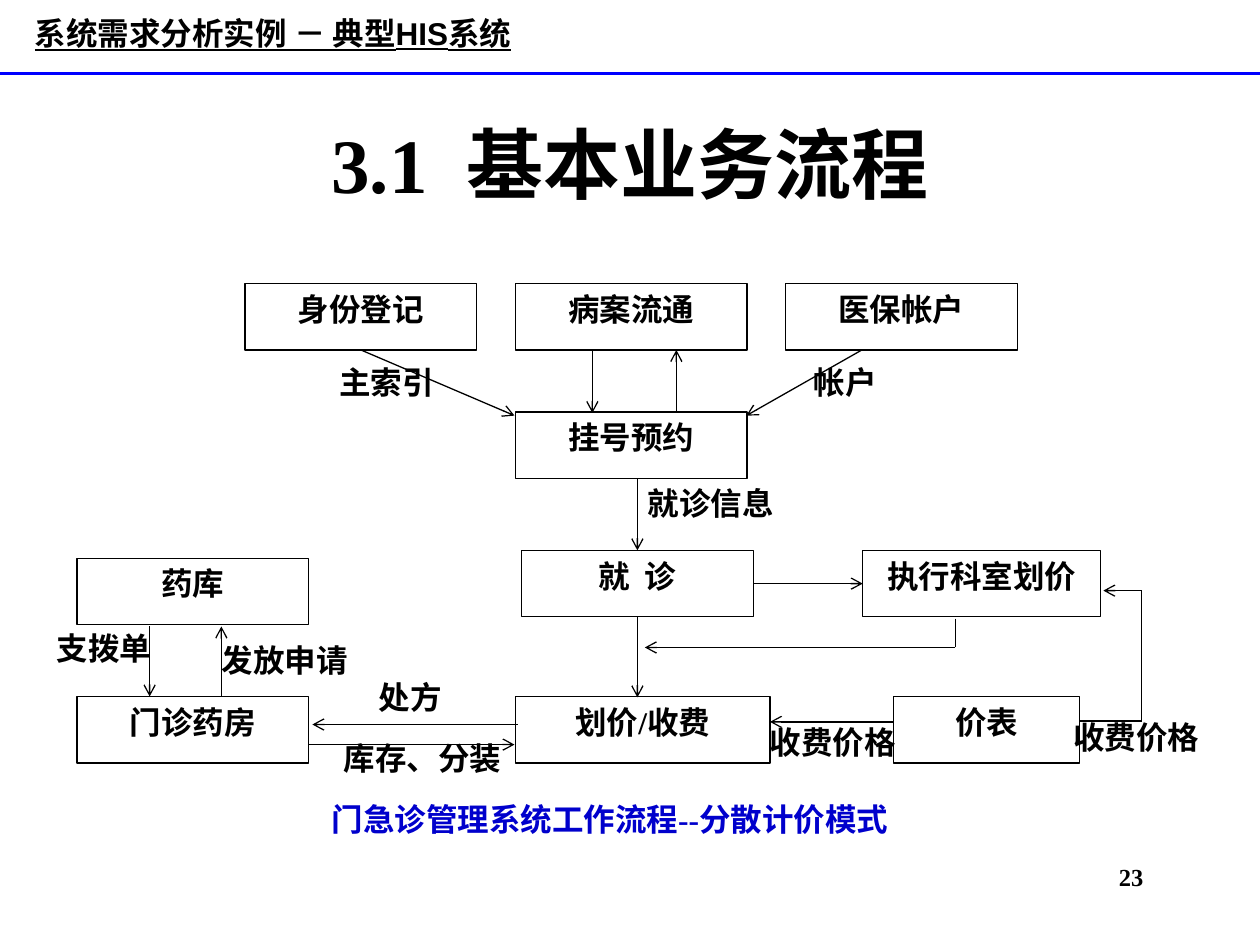
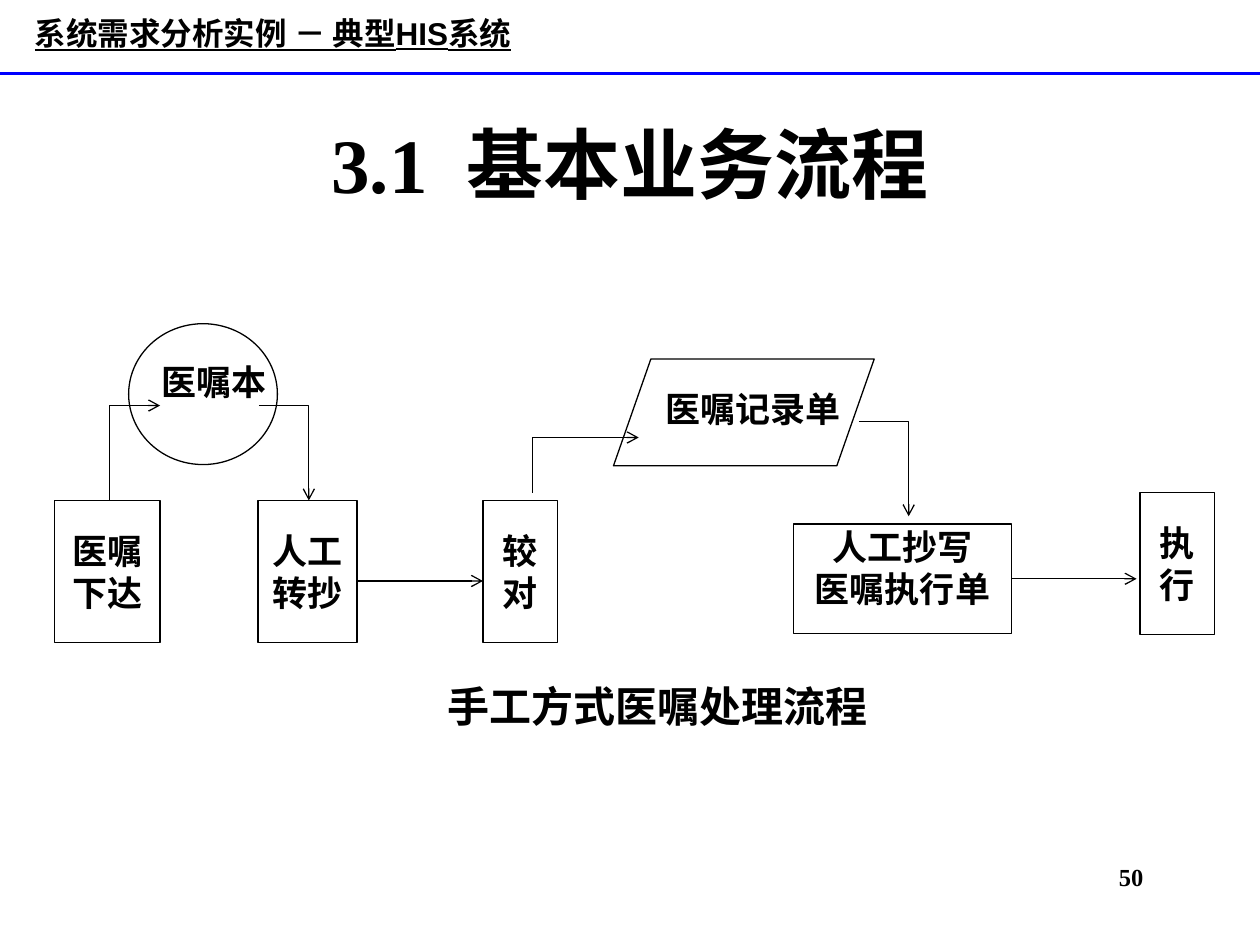
import lxml.etree
import pptx
import pptx.dml.color
import pptx.enum.shapes
import pptx.enum.text
import pptx.oxml.ns
import pptx.util

Pt = pptx.util.Pt
qn = pptx.oxml.ns.qn
SHAPE = pptx.enum.shapes.MSO_SHAPE
STRAIGHT = pptx.enum.shapes.MSO_CONNECTOR.STRAIGHT
ANCHOR = pptx.enum.text.MSO_ANCHOR
LEFT, CENTER, RIGHT = (pptx.enum.text.PP_ALIGN.LEFT, pptx.enum.text.PP_ALIGN.CENTER,
                       pptx.enum.text.PP_ALIGN.RIGHT)

BLACK = pptx.dml.color.RGBColor(0x00, 0x00, 0x00)
RULE_BLUE = pptx.dml.color.RGBColor(0x00, 0x00, 0xFF)
CAPTION_BLUE = pptx.dml.color.RGBColor(0x00, 0x00, 0xCC)
SERIF, SANS = "Times New Roman", "Arial"
TOP, BOTTOM_SIDE, LEFT_SIDE, RIGHT_SIDE = 0, 2, 1, 3
WIDE = (7.2, 3.6)      # horizontal and vertical text inset
TIGHT = (0.72, 0.72)

# Shared content
HEADER = "系统需求分析实例 － 典型HIS系统"
TITLE = "3.1  基本业务流程"
TITLE_AT = (54, 48, 612, 90)
HEADER_AT = (3, 5.8, 306, 26)
NUMBER_AT = (510.5, 489, 150, 36)

# Outpatient flow: text -> (left, top, width)
BOX_H, BOX_W = 38, 132.5
ROW_REGISTER, ROW_VISIT, ROW_PRICE = 235.5, 314.5, 398
CLINIC_BOXES = {
    "挂号预约": (294.5, ROW_REGISTER, BOX_W),
    "就  诊": (298, ROW_VISIT, BOX_W),
    "执行科室划价": (493, ROW_VISIT, 136),
    "药库": (44, 319, BOX_W),
    "门诊药房": (44, ROW_PRICE, BOX_W),
    "划价/收费": (294.5, ROW_PRICE, 145.5),
    "价表": (510.5, ROW_PRICE, 106.5),
}
SOURCES = ["身份登记", "病案流通", "医保帐户"]
CLINIC_BOXES.update({s: (140 + 154.4 * i, 162, BOX_W) for i, s in enumerate(SOURCES)})
CLINIC_LABELS = [
    ("主索引", 163, 204, 116, CENTER),
    ("帐户", 458, 204, 88, LEFT),
    ("就诊信息", 363, 273, 95, LEFT),
    ("支拨单", 19.5, 356, 74, RIGHT),
    ("发放申请", 118, 363, 89.5, CENTER),
    ("处方", 209.5, 384, 66, LEFT),
    ("库存、分装", 188.5, 419, 105, RIGHT),
    ("收费价格", 432.7, 409.5, 88.5, LEFT),
    ("收费价格", 606.2, 407, 88.5, LEFT),
]
CLINIC_CAPTION = "门急诊管理系统工作流程--分散计价模式"
# Each route lists its stops: a point, or a box and one of its sides
CLINIC_ROUTES = [
    [("身份登记", BOTTOM_SIDE), (294, 237.5)],
    [(338.5, 200), (338.5, 236)],
    [(386.5, 236), (386.5, 200)],
    [(492.5, 200), (426.5, 237.5)],
    [(364.25, 273.5), ("就  诊", TOP)],
    [("就  诊", BOTTOM_SIDE), (364.25, 398.5)],
    [("就  诊", RIGHT_SIDE), ("执行科室划价", LEFT_SIDE)],
    [(546, 353.5), (546, 370), (368.5, 370)],
    [(85.5, 358), (85.5, 398)],
    [(126.5, 398), (126.5, 358)],
    [(296, 414), (178.5, 414)],
    [(176.5, 425.5), (294, 425.5)],
    [(510.5, 412.5), (440, 412.5)],
    [(617, 412), (652.5, 412), (652.5, 337.5), (630.5, 337.5)],
]

# Manual order flow: text -> (left, top, width, height, anchor)
ORDER_BOXES = {
    "医嘱\n下达": (31, 286, 60.5, 81, ANCHOR.MIDDLE),
    "人工\n转抄": (147.5, 286, 56.5, 81, ANCHOR.MIDDLE),
    "较\n对": (276, 286, 42.5, 81, ANCHOR.MIDDLE),
    "人工抄写\n医嘱执行单": (453.5, 299.5, 124.5, 62.5, ANCHOR.TOP),
    "执\n行": (651.5, 281.5, 42.5, 81, ANCHOR.MIDDLE),
}
ORDER_RECORDS = [
    (SHAPE.OVAL, (73.5, 185, 85, 80.5), "医嘱本", (91.5, 205, 64, 60)),
    (SHAPE.PARALLELOGRAM, (350.6, 205.2, 149, 61), "医嘱记录单", (379.5, 221, 111.5, 40)),
]
ORDER_CAPTION = "手工方式医嘱处理流程"
ORDER_ROUTES = [
    [(204, 332), (276, 332)],
    [("人工抄写\n医嘱执行单", RIGHT_SIDE), (649.5, 330.75)],
]
ORDER_ELBOWS = [
    [(62.75, 286), (62.75, 231.75), (91.5, 231.75)],
    [(148, 231.75), (176.5, 231.75), (176.5, 286)],
    [(304.25, 281.5), (304.25, 250), (365, 250)],
    [(490.75, 241), (519.25, 241), (519.25, 295)],
]


def pts(values):
    return [Pt(v) for v in values]


def style_text(sp, text, size=18, align=CENTER, anchor=ANCHOR.TOP, inset=WIDE, wrap=True,
               **font):
    tf = sp.text_frame
    tf.text = text
    x, y = pts(inset)
    frame = {"word_wrap": wrap, "vertical_anchor": anchor, "margin_left": x,
             "margin_right": x, "margin_top": y, "margin_bottom": y}
    for name, value in frame.items():
        setattr(tf, name, value)
    look = {"name": SERIF, "bold": True, "size": Pt(size), **font}
    color = look.pop("color", BLACK)
    for p in tf.paragraphs:
        p.alignment = align
        for r in p.runs:
            for name, value in look.items():
                setattr(r.font, name, value)
            r.font.color.rgb = color


def add_text(slide, text, at, **style):
    sp = slide.shapes.add_textbox(*pts(at))
    style_text(sp, text, **style)
    return sp


def outline(sp, color=BLACK, width=0.75):
    sp.line.color.rgb = color
    sp.line.width = Pt(width)


def add_outlined(slide, kind, at):
    sp = slide.shapes.add_shape(kind, *pts(at))
    sp.shadow.inherit = False
    sp.fill.background()
    outline(sp)
    return sp


def add_arrowhead(sp):
    ln = sp.element.spPr.find(qn("a:ln"))
    lxml.etree.SubElement(ln, qn("a:tailEnd"), type="arrow")


def add_line(slide, start, end, boxes=None, **line):
    """Draw a line; a stop that names a box is joined to that box."""
    joined = [isinstance(stop[0], str) for stop in (start, end)]
    points = [(0, 0) if j else stop for j, stop in zip(joined, (start, end))]
    sp = slide.shapes.add_connector(STRAIGHT, *pts(points[0] + points[1]))
    if joined[0]:
        sp.begin_connect(boxes[start[0]], start[1])
    if joined[1]:
        sp.end_connect(boxes[end[0]], end[1])
    outline(sp, **line)
    lxml.etree.SubElement(sp.element.spPr, qn("a:effectLst"))
    return sp


def add_routes(slide, routes, boxes):
    for stops in routes:
        for start, end in zip(stops, stops[1:]):
            sp = add_line(slide, start, end, boxes)
        add_arrowhead(sp)


def add_elbow(slide, points):
    start, *rest = [pts(p) for p in points]
    builder = slide.shapes.build_freeform(*start, scale=1.0)
    builder.add_line_segments(rest, close=False)
    sp = builder.convert_to_shape()
    sp.shadow.inherit = False
    sp.fill.background()
    outline(sp)
    add_arrowhead(sp)


def move_header_to_layout(slide):
    """Build the header band once and let every slide inherit it."""
    rule = add_line(slide, (0, 42), (720, 42), color=RULE_BLUE, width=2.25)
    header = add_text(slide, HEADER, HEADER_AT, anchor=ANCHOR.MIDDLE, wrap=False,
                      name=SANS, underline=True)
    for sp in (rule, header):
        slide.slide_layout.shapes.element.append(sp.element)


def add_slide(prs, number):
    slide = prs.slides.add_slide(prs.slide_layouts[5])
    title = slide.shapes.title
    for name, value in zip(("left", "top", "width", "height"), pts(TITLE_AT)):
        setattr(title, name, value)
    style_text(title, TITLE, size=44, anchor=ANCHOR.MIDDLE)
    add_text(slide, number, NUMBER_AT, size=14, align=RIGHT)
    return slide


def build_clinic_flow(slide):
    boxes = {}
    for text, (x, y, w) in CLINIC_BOXES.items():
        boxes[text] = add_outlined(slide, SHAPE.RECTANGLE, (x, y, w, BOX_H))
        style_text(boxes[text], text)
    add_routes(slide, CLINIC_ROUTES, boxes)
    for text, x, y, w, align in CLINIC_LABELS:
        add_text(slide, text, (x, y, w, 33), align=align)
    add_text(slide, CLINIC_CAPTION, (121, 453.5, 455, 37.5), color=CAPTION_BLUE)


def build_order_flow(slide):
    boxes = {}
    for text, (*at, anchor) in ORDER_BOXES.items():
        boxes[text] = add_outlined(slide, SHAPE.RECTANGLE, at)
        style_text(boxes[text], text, size=20, anchor=anchor, inset=TIGHT)
    for kind, at, text, text_at in ORDER_RECORDS:
        sp = add_outlined(slide, kind, at)
        if kind == SHAPE.PARALLELOGRAM:
            sp.adjustments[0] = 0.35
        add_text(slide, text, text_at, size=20, align=LEFT, inset=TIGHT)
    add_routes(slide, ORDER_ROUTES, boxes)
    for points in ORDER_ELBOWS:
        add_elbow(slide, points)
    add_text(slide, ORDER_CAPTION, (205, 388, 341, 40), size=24, inset=TIGHT, name=SANS)


def main():
    prs = pptx.Presentation()
    prs.slide_width, prs.slide_height = Pt(720), Pt(540)
    clinic = add_slide(prs, "23")
    move_header_to_layout(clinic)
    build_clinic_flow(clinic)
    build_order_flow(add_slide(prs, "50"))
    prs.save("out.pptx")


if __name__ == "__main__":
    main()
